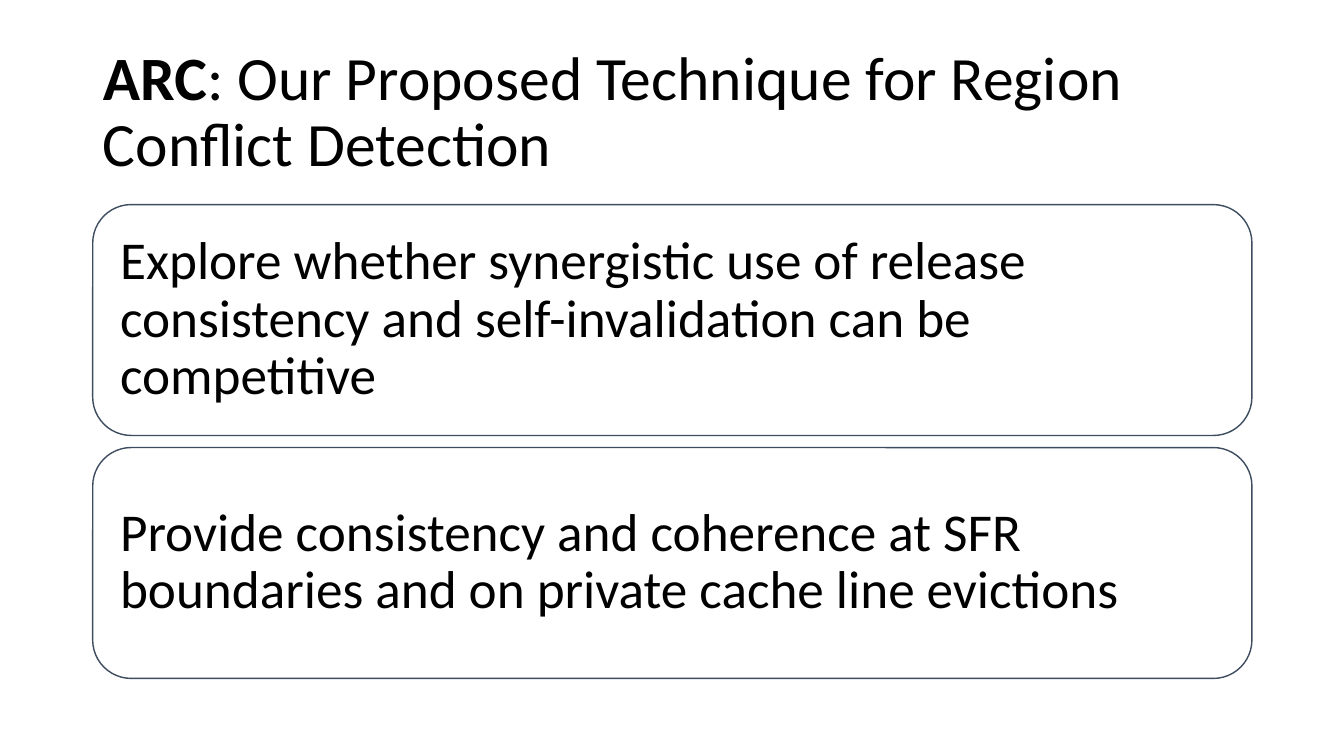
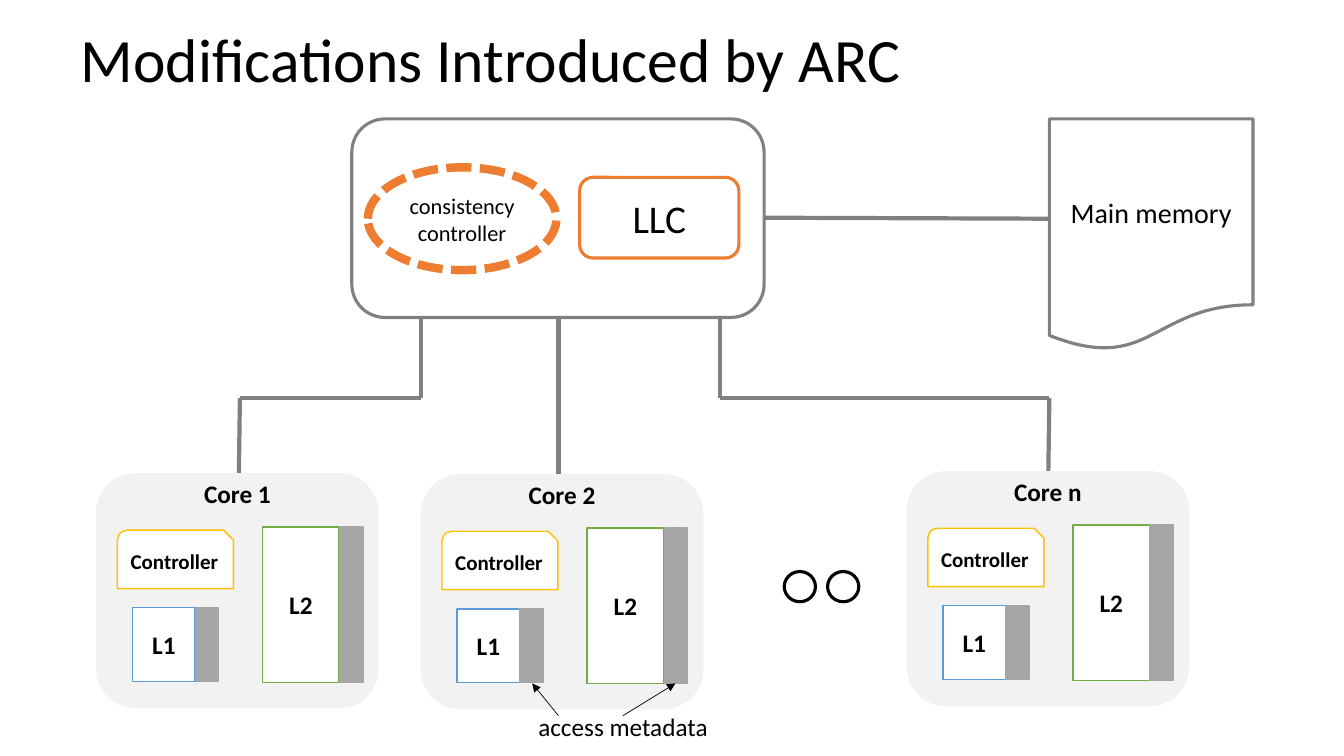
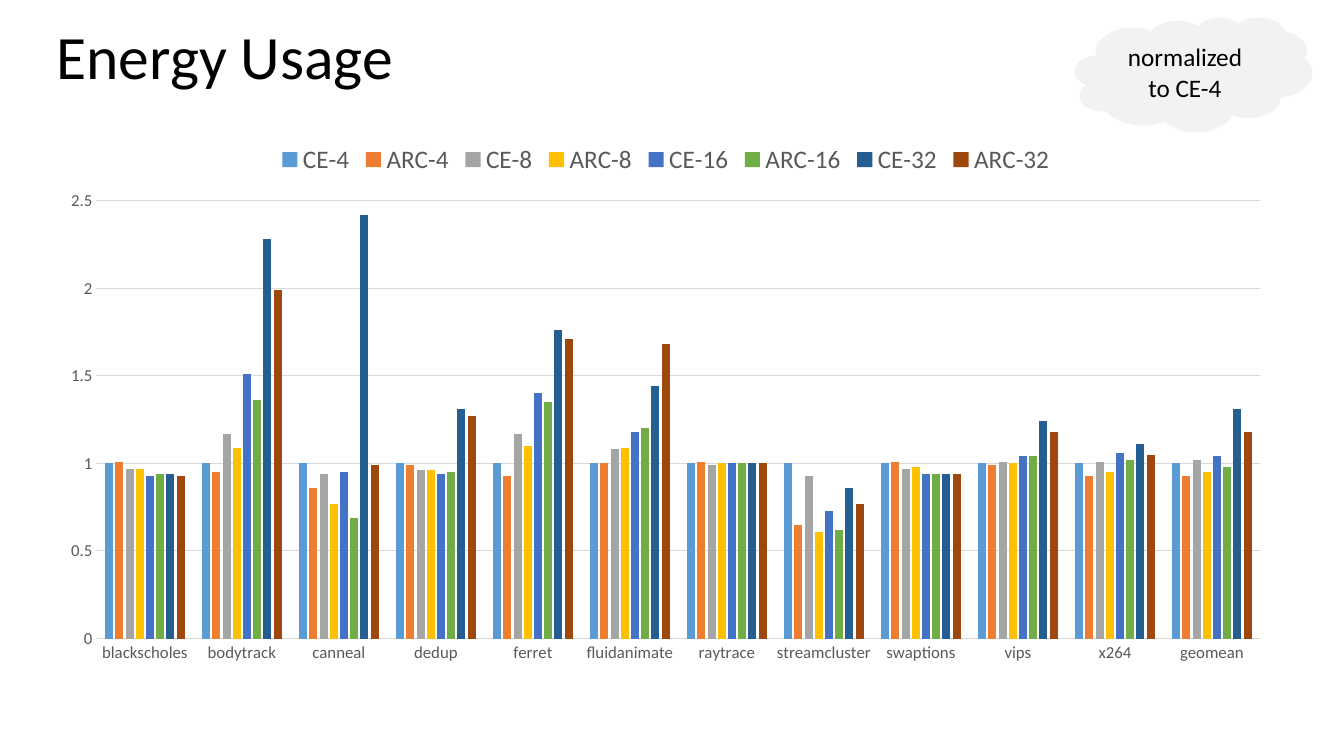
from lxml import etree
from pptx import Presentation
from pptx.chart.data import CategoryChartData
from pptx.dml.color import RGBColor
from pptx.enum.chart import XL_CHART_TYPE, XL_LEGEND_POSITION, XL_TICK_MARK
from pptx.enum.dml import MSO_LINE
from pptx.enum.shapes import MSO_CONNECTOR, MSO_SHAPE
from pptx.enum.text import MSO_ANCHOR, MSO_AUTO_SIZE, PP_ALIGN
from pptx.oxml.ns import qn
from pptx.util import Inches, Pt

ROUND = MSO_SHAPE.ROUNDED_RECTANGLE
RECT = MSO_SHAPE.RECTANGLE
SNIP = MSO_SHAPE.SNIP_ROUND_RECTANGLE
OVAL = MSO_SHAPE.OVAL
PAGE = MSO_SHAPE.FLOWCHART_DOCUMENT
CLOUD = MSO_SHAPE.CLOUD
DASH = MSO_LINE.SQUARE_DOT
LEFT, MID = PP_ALIGN.LEFT, PP_ALIGN.CENTER
TOP, CENTER = MSO_ANCHOR.TOP, MSO_ANCHOR.MIDDLE
FIXED = MSO_AUTO_SIZE.NONE
STRAIGHT = MSO_CONNECTOR.STRAIGHT
COLUMNS = XL_CHART_TYPE.COLUMN_CLUSTERED
ABOVE = XL_LEGEND_POSITION.TOP
NO_TICK = XL_TICK_MARK.NONE

FONT = "Calibri"
BLACK, WHITE, NAVY = "000000", "FFFFFF", "3E4C60"
GRAY, PALE, META = "808080", "F2F2F2", "A6A6A6"
ORANGE, GOLD, BLUE, GREEN = "ED7D31", "FFC000", "5B9BD5", "70AD47"
RULE, SOFT = "D9D9D9", "595959"


def cell(n):
    """Length of n grid cells, ten to the inch."""
    return Inches(n / 10)


def color(code):
    return RGBColor.from_string(code)


class Deck:
    def __init__(self):
        self.prs = Presentation()
        self.prs.slide_width = cell(133.33)
        self.prs.slide_height = cell(75)
        self.slide = None

    def font(self, font, size, ink=BLACK, bold=False):
        font.name, font.size, font.bold = FONT, Pt(size), bold
        font.color.rgb = color(ink)

    def text(self, frame, paras, size, align=MID, anchor=CENTER, space=None):
        """Each paragraph is a list of (words, bold) runs."""
        frame.word_wrap = True
        frame.auto_size = FIXED
        frame.vertical_anchor = anchor
        for i, runs in enumerate(paras):
            para = frame.add_paragraph() if i else frame.paragraphs[0]
            para.alignment = align
            if space:
                para.line_spacing = space
            for words, bold in runs:
                run = para.add_run()
                run.text = words
                self.font(run.font, size, bold=bold)

    def page(self, runs, x, y, w, h):
        self.slide = self.prs.slides.add_slide(self.prs.slide_layouts[5])
        title = self.slide.shapes.title
        title.left, title.top, title.width, title.height = map(cell, (x, y, w, h))
        self.text(title.text_frame, [runs], 44, LEFT, space=0.9)

    def box(self, kind, x, y, w, h, fill=WHITE, line=None, width=1, dash=None):
        shape = self.slide.shapes.add_shape(kind, *map(cell, (x, y, w, h)))
        shape.shadow.inherit = False
        shape.fill.solid()
        shape.fill.fore_color.rgb = color(fill)
        if line:
            shape.line.color.rgb = color(line)
            shape.line.width = Pt(width)
            if dash:
                shape.line.dash_style = dash
        else:
            shape.line.fill.background()
        return shape.text_frame

    def label(self, words, x, y, w, h, size=18, bold=False):
        area = self.slide.shapes.add_textbox(*map(cell, (x, y, w, h)))
        self.text(area.text_frame, [[(words, bold)]], size, anchor=TOP)

    def wire(self, points, ink=GRAY, width=3, arrow=False):
        for start, end in zip(points, points[1:]):
            wire = self.slide.shapes.add_connector(
                STRAIGHT, *map(cell, (*start, *end)))
            wire.line.color.rgb = color(ink)
            wire.line.width = Pt(width)
            props = wire._element.spPr
            if arrow:
                etree.SubElement(props.find(qn("a:ln")), qn("a:tailEnd"),
                                 type="triangle")
            etree.SubElement(props, qn("a:effectLst"))

    def core(self, name, x, y):
        self.box(ROUND, x, y, 27.9, 23.2, PALE, PALE)
        self.label(name, x, y, 27.9, 4, bold=True)
        parts = [
            (SNIP, 2.05, 5.6, 11.5, 5.8, GOLD, "Controller", 15),
            (RECT, 3.55, 13.3, 6.2, 7.3, BLUE, "L1", 18),
            (RECT, 16.45, 5.3, 7.6, 15.4, GREEN, "L2", 18),
        ]
        for kind, dx, dy, w, h, line, words, size in parts:
            frame = self.box(kind, x + dx, y + dy, w, h, WHITE, line)
            self.text(frame, [[(words, True)]], size)
            if kind == RECT:
                self.box(RECT, x + dx + w + 0.05, y + dy, 2.3, h, META, META)

    def chart(self, x, y, w, h, cats, rows):
        data = CategoryChartData()
        data.categories = cats
        for name, _, vals in rows:
            data.add_series(name, vals)
        chart = self.slide.shapes.add_chart(
            COLUMNS, *map(cell, (x, y, w, h)), data).chart
        self.font(chart.font, 10)
        chart.has_title = False
        chart.has_legend = True
        chart.legend.position = ABOVE
        chart.legend.include_in_layout = False
        self.font(chart.legend.font, 18, SOFT)
        plot = chart.plots[0]
        plot.gap_width, plot.overlap, plot.vary_by_categories = 219, -27, False
        for bars, (_, ink, _) in zip(plot.series, rows):
            bars.format.fill.solid()
            bars.format.fill.fore_color.rgb = color(ink)
            bars.invert_if_negative = False
        axis = chart.value_axis
        for side in (chart.category_axis, axis):
            side.major_tick_mark = side.minor_tick_mark = NO_TICK
            self.font(side.tick_labels.font, 12, SOFT)
        axis.minimum_scale, axis.maximum_scale, axis.major_unit = 0, 2.5, 0.5
        axis.format.line.fill.background()
        axis.has_major_gridlines = True
        for part in (axis.major_gridlines, chart.category_axis):
            part.format.line.color.rgb = color(RULE)
            part.format.line.width = Pt(0.75)


def goals(deck):
    deck.page([("ARC", True),
               (": Our Proposed Technique for Region Conflict Detection", False)],
              9.2, 4, 115, 14.5)
    goals = [
        "Explore whether synergistic use of release consistency and "
        "self-invalidation can be competitive",
        "Provide consistency and coherence at SFR boundaries and on private "
        "cache line evictions",
    ]
    for i, goal in enumerate(goals):
        frame = deck.box(ROUND, 9.2, 20.3 + 24.1 * i, 115, 22.9, WHITE, NAVY)
        frame.margin_left = frame.margin_right = cell(1.6)
        frame.margin_top = frame.margin_bottom = cell(1.6)
        deck.text(frame, [[(goal, False)]], 38, LEFT, space=0.9)


def design(deck):
    deck.page([("Modifications Introduced by ARC", False)], 7, 1.5, 120, 9.4)
    # Wires from the shared cache to the cores and memory
    bus = 39.5
    deck.wire([(41.8, 31.6), (41.8, bus), (23.8, bus), (23.7, 47)])
    deck.wire([(55.4, 31.6), (55.4, 47.5)])
    deck.wire([(71.4, 31.6), (71.4, bus), (104.1, bus), (104, 46.9)])
    deck.wire([(75.8, 21.6), (104.1, 21.7)])
    # Shared cache and memory
    deck.box(ROUND, 34.9, 11.8, 40.9, 19.7, WHITE, GRAY, 2.25)
    blocks = [
        (PAGE, 104.1, 11.8, 20.2, 23, GRAY, 2.25, None, ["Main memory"], 20),
        (ROUND, 57.5, 17.6, 15.8, 8, ORANGE, 2.25, None, ["LLC"], 28),
        (OVAL, 36.5, 16.6, 18.7, 10.2, ORANGE, 6, DASH,
         ["consistency", "controller"], 16),
    ]
    for kind, x, y, w, h, line, width, dash, lines, size in blocks:
        frame = deck.box(kind, x, y, w, h, WHITE, line, width, dash)
        deck.text(frame, [[(words, False)] for words in lines], size)
    # Cores, with dots for those left out
    for name, x, y in [("Core 1", 9.6, 47), ("Core 2", 41.8, 47.1),
                       ("Core n", 90, 46.8)]:
        deck.core(name, x, y)
    for x in (77.8, 82.1):
        deck.box(OVAL, x, 56.7, 3.1, 3, WHITE, BLACK, 2.25)
    # Pointers to the metadata
    deck.label("access metadata", 52.3, 70.1, 19, 4)
    for points in ([(55.4, 71), (52.8, 67.8)], [(61.8, 71), (67, 67.8)]):
        deck.wire(points, BLACK, 0.5, arrow=True)


def energy(deck):
    deck.page([("Energy Usage", False)], 4.6, 1.1, 115, 9.7)
    cats = ["blackscholes", "bodytrack", "canneal", "dedup", "ferret",
            "fluidanimate", "raytrace", "streamcluster", "swaptions", "vips",
            "x264", "geomean"]
    rows = [
        ("CE-4", BLUE, [1] * len(cats)),
        ("ARC-4", ORANGE, [1.01, 0.95, 0.86, 0.99, 0.93, 1, 1.01, 0.65, 1.01,
                           0.99, 0.93, 0.93]),
        ("CE-8", "A5A5A5", [0.97, 1.17, 0.94, 0.96, 1.17, 1.08, 0.99, 0.93,
                            0.97, 1.01, 1.01, 1.02]),
        ("ARC-8", GOLD, [0.97, 1.09, 0.77, 0.96, 1.1, 1.09, 1, 0.61, 0.98, 1,
                         0.95, 0.95]),
        ("CE-16", "4472C4", [0.93, 1.51, 0.95, 0.94, 1.4, 1.18, 1, 0.73, 0.94,
                             1.04, 1.06, 1.04]),
        ("ARC-16", GREEN, [0.94, 1.36, 0.69, 0.95, 1.35, 1.2, 1, 0.62, 0.94,
                           1.04, 1.02, 0.98]),
        ("CE-32", "255E91", [0.94, 2.28, 2.42, 1.31, 1.76, 1.44, 1, 0.86, 0.94,
                             1.24, 1.11, 1.31]),
        ("ARC-32", "9E480E", [0.93, 1.99, 0.99, 1.27, 1.71, 1.68, 1, 0.77,
                              0.94, 1.18, 1.05, 1.18]),
    ]
    deck.chart(4.6, 13.1, 122.9, 53.7, cats, rows)
    note = deck.box(CLOUD, 106.6, 1.7, 23.6, 11.4, PALE)
    deck.text(note, [[("normalized to CE-4", False)]], 18)


def main():
    deck = Deck()
    for build in (goals, design, energy):
        build(deck)
    deck.prs.save("out.pptx")


if __name__ == "__main__":
    main()
